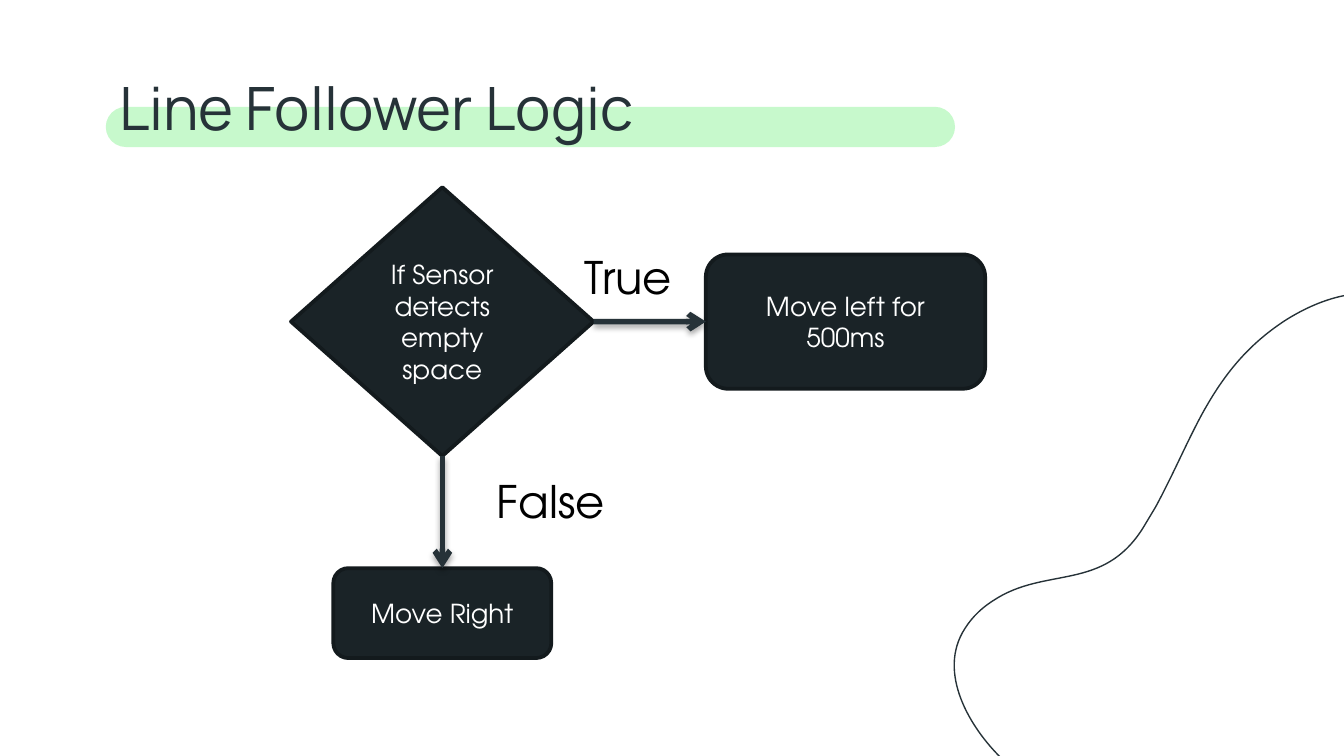
from math import cos, radians, sin

from lxml import etree
from pptx import Presentation
from pptx.dml.color import RGBColor
from pptx.enum.shapes import MSO_CONNECTOR, MSO_SHAPE
from pptx.enum.text import MSO_ANCHOR, MSO_AUTO_SIZE, PP_ALIGN
from pptx.oxml import parse_xml
from pptx.oxml.ns import nsdecls, qn
from pptx.util import Cm, Pt

HUES = {"mint": "C7F9CC", "slate": "263238", "node": "1A2327",
        "edge": "131A1D", "white": "FFFFFF", "black": "000000"}
FONT = "TeX Gyre Adventor"


def hue(name):
    return RGBColor.from_string(HUES[name])


def style(para, text, size, color, font=FONT):
    para.text = text
    para.font.size = Pt(size)
    para.font.name = font
    para.font.color.rgb = hue(color)


deck = Presentation()
deck.slide_width, deck.slide_height = Cm(25.4), Cm(14.29)
slide = deck.slides.add_slide(deck.slide_layouts[5])
shapes = slide.shapes
slide.background.fill.solid()
slide.background.fill.fore_color.rgb = hue("white")

bar = shapes.add_shape(MSO_SHAPE.ROUNDED_RECTANGLE, Cm(2), Cm(2.02), Cm(16.05), Cm(0.76))
bar.adjustments[0] = 0.5
bar.shadow.inherit = False
bar.fill.solid()
bar.fill.fore_color.rgb = hue("mint")
bar.line.fill.background()

points = [
    7.16 + 4.71j,
    7.21 + 4.62j, 7.28 + 4.54j, 7.39 + 4.47j,
    7.78 + 4.21j, 8.21 + 4.41j, 8.51 + 3.92j,
    8.54 + 3.87j, 8.57 + 3.82j, 8.6 + 3.77j,
    8.73 + 3.53j, 8.83 + 3.29j, 8.95 + 3.07j,
    9.09 + 2.82j, 9.26 + 2.58j, 9.57 + 2.38j,
    10.1 + 2.05j, 10.53 + 2.16j, 10.93 + 2.5j,
    11.62 + 3.08j, 11.61 + 3.95j, 11.19 + 4.71j,
    11.01 + 5.04j, 10.76 + 5.35j, 10.45 + 5.61j,
    9.47 + 6.44j, 8.28 + 6.42j, 7.48 + 5.67j,
    7.24 + 5.45j, 6.98 + 5.04j, 7.16 + 4.71j,
]
turn = 298.7
mid = complex(Cm(23.9), Cm(10.9))
spin = complex(cos(radians(turn)), sin(radians(turn)))
flat = [mid + (point * Cm(2.54) - mid) / spin for point in points]
spots = [(round(point.real), round(point.imag)) for point in flat]
pen = shapes.build_freeform(*spots[0])
pen.add_line_segments(spots[1:], close=True)
blob = pen.convert_to_shape()
lines = list(blob._element.iter(qn("a:lnTo")))
for first in range(0, len(lines), 3):
    curve = etree.Element(qn("a:cubicBezTo"))
    lines[first].addprevious(curve)
    for line in lines[first:first + 3]:
        curve.append(line[0])
        line.getparent().remove(line)
hub = complex(blob.left + blob.width / 2, blob.top + blob.height / 2)
move = mid + (hub - mid) * spin - hub
blob.left += round(move.real)
blob.top += round(move.imag)
blob.rotation = turn
blob.shadow.inherit = False
blob.fill.background()
blob.line.color.rgb = hue("slate")
blob.line.width = Pt(0.75)

title = shapes.title
title.left, title.top, title.width, title.height = Cm(2), Cm(1.08), Cm(21.41), Cm(1.7)
frame = title.text_frame
frame.auto_size = MSO_AUTO_SIZE.NONE
frame.vertical_anchor = MSO_ANCHOR.TOP
frame.margin_left = frame.margin_right = Cm(0.25)
frame.margin_top = frame.margin_bottom = Cm(0.25)
style(frame.paragraphs[0], "Line Follower Logic", 32, "slate", "Manrope")
frame.paragraphs[0].alignment = PP_ALIGN.LEFT
shapes._spTree.append(title._element)

steps = [
    (MSO_SHAPE.DIAMOND, "If Sensor detects empty space", 5.5, 3.54, 5.72, 5.08),
    (MSO_SHAPE.ROUNDED_RECTANGLE, "Move left for 500ms", 13.34, 4.81, 5.28, 2.54),
    (MSO_SHAPE.ROUNDED_RECTANGLE, "Move Right", 6.3, 10.74, 4.12, 1.7),
]
nodes = []
for kind, text, *box in steps:
    node = shapes.add_shape(kind, *map(Cm, box))
    node.shadow.inherit = False
    node.fill.solid()
    node.fill.fore_color.rgb = hue("node")
    node.line.color.rgb = hue("edge")
    node.line.width = Pt(2)
    node.text_frame.vertical_anchor = MSO_ANCHOR.MIDDLE
    para = node.text_frame.paragraphs[0]
    style(para, text, 14, "white")
    para.alignment = PP_ALIGN.CENTER
    nodes.append(node)

for text, left, top, width in [("True", 10.8, 4.6, 2.39), ("False", 9.14, 8.83, 2.72)]:
    label = shapes.add_textbox(Cm(left), Cm(top), Cm(width), Cm(1.27))
    label.text_frame.word_wrap = False
    label.text_frame.auto_size = MSO_AUTO_SIZE.SHAPE_TO_FIT_TEXT
    style(label.text_frame.paragraphs[0], text, 24, "black")

test, left, right = nodes
for site, goal, port in [(2, right, 0), (3, left, 1)]:
    arrow = shapes.add_connector(MSO_CONNECTOR.STRAIGHT, 0, 0, 0, 0)
    arrow.begin_connect(test, site)
    arrow.end_connect(goal, port)
    arrow.line.color.rgb = hue("slate")
    arrow.line.width = Pt(3)
    etree.SubElement(arrow.line._get_or_add_ln(), qn("a:tailEnd"), type="arrow")
    arrow._element.spPr.append(parse_xml(
        f'<a:effectLst {nsdecls("a")}>'
        '<a:outerShdw blurRad="40000" dist="23000" dir="5400000" rotWithShape="0">'
        f'<a:srgbClr val="{HUES["black"]}"><a:alpha val="35000"/></a:srgbClr>'
        '</a:outerShdw></a:effectLst>'))

deck.save("out.pptx")
